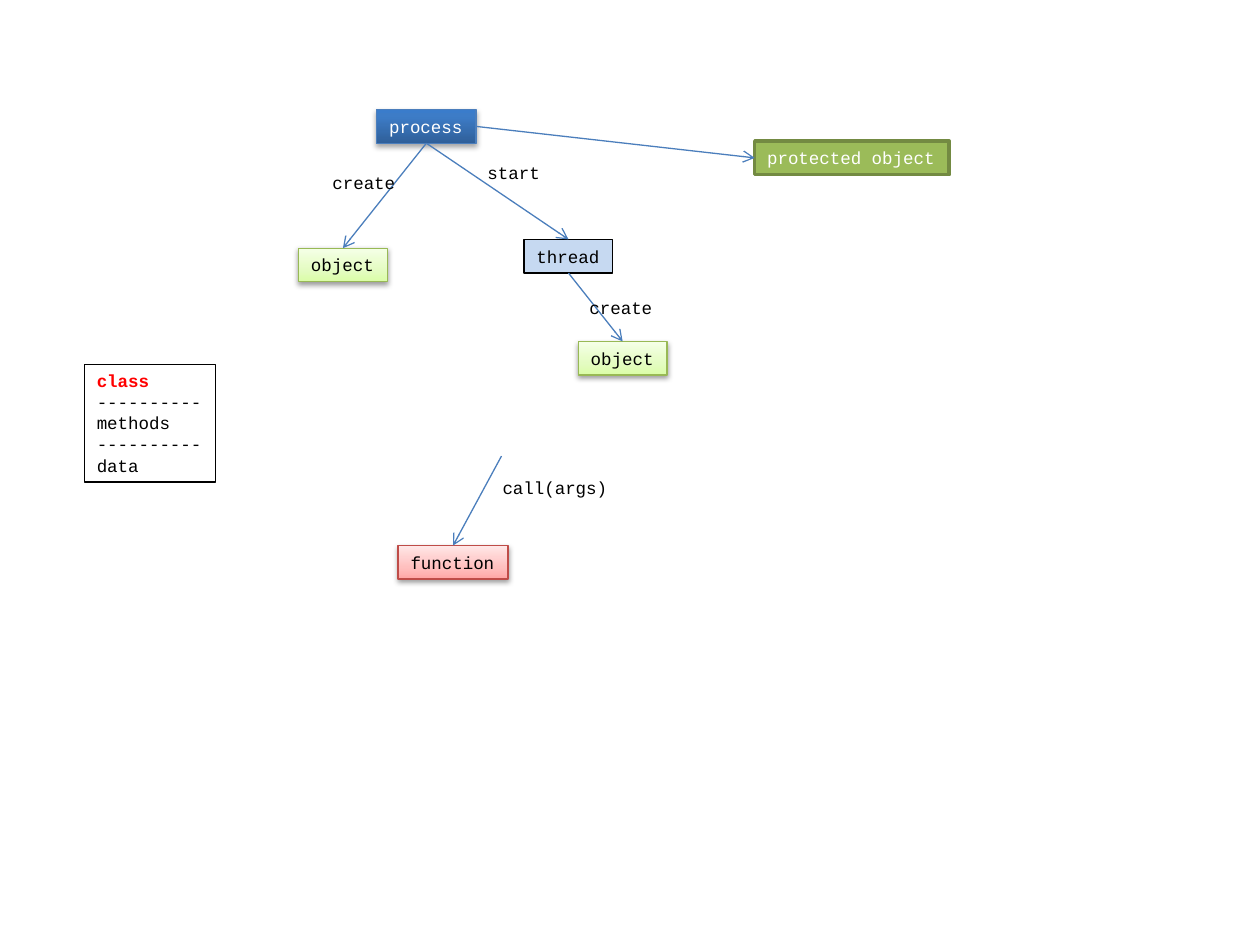
from lxml import etree
from pptx import Presentation
from pptx import util as u
from pptx.dml.color import RGBColor
from pptx.enum import shapes, text
from pptx.oxml.ns import qn

FONT, SIZE = "Courier New", 10
CHAR_WIDTH, LINE_HEIGHT = 0.084, 0.167
MARGIN_X, MARGIN_Y = 0.1, 0.05
TOP, LEFT, BOTTOM, RIGHT = range(4)  # connection sites of a rectangle
ARROW_COLOUR = "4B7EBC"

# fill: None, a colour, or gradient stops (percent, colour) from bottom to top
# shadow: None or (opacity in percent, distance in points)
GREEN = [(0, "DAFDA7"), (35, "E4FCC2"), (100, "F5FFE7")]
BLUE = [(0, "2F5F99"), (80, "3D7CC7"), (100, "3A7CCB")]
RED = [(0, "FFA6A5"), (35, "FFC0BF"), (100, "FFE7E7")]
STYLES = {
    "thread": dict(fill="C6D9F1", line="000000"),
    "class": dict(fill=None, line="000000"),
    "object": dict(fill=GREEN, line="98B955", shadow=(38, 1.6)),
    "process": dict(fill=BLUE, line="4B7EBC", shadow=(35, 1.8), ink="FFFFFF"),
    "function": dict(fill=RED, line="BF4C48", shadow=(38, 1.6)),
    "protected": dict(fill="9BBB59", line="738A42", weight=2, ink="FFFFFF"),
}

# name: (style, left, top, lines)
BOXES = {
    "thread": ("thread", 4.16, 1.9, ["thread"]),
    "class": ("class", 0.67, 2.89,
              ["class", "----------", "methods", "----------", "data"]),
    "process object": ("object", 2.37, 1.97, ["object"]),
    "process": ("process", 2.99, 0.87, ["process"]),
    "thread object": ("object", 4.59, 2.71, ["object"]),
    "function": ("function", 3.16, 4.33, ["function"]),
    "protected object": ("protected", 5.99, 1.12, ["protected object"]),
}
# (from box, site, to box, site)
ARROWS = [
    ("process", BOTTOM, "process object", TOP),
    ("thread", BOTTOM, "thread object", TOP),
    ("process", BOTTOM, "thread", TOP),
    ("process", RIGHT, "protected object", LEFT),
]
CALL_START = (3.98, 3.62)
LABELS = [
    ("start", 3.77, 1.24),
    ("create", 2.54, 1.32),
    ("create", 4.58, 2.31),
    ("call(args)", 3.89, 3.74),
]


def colour(value):
    return RGBColor.from_string(value)


def add_child(parent, tag, **attributes):
    child = etree.SubElement(parent, qn(tag))
    for name, value in attributes.items():
        child.set(name, str(value))
    return child


def text_extent(lines):
    """Width and height of a frame that fits the monospaced lines."""
    longest = max(len(line) for line in lines)
    return (u.Inches(longest * CHAR_WIDTH + 2 * MARGIN_X),
            u.Inches(len(lines) * LINE_HEIGHT + 2 * MARGIN_Y))


def write_lines(shape, lines, ink="000000"):
    frame = shape.text_frame
    frame.word_wrap = False
    frame.auto_size = text.MSO_AUTO_SIZE.SHAPE_TO_FIT_TEXT
    frame.vertical_anchor = text.MSO_ANCHOR.TOP
    frame.margin_left = frame.margin_right = u.Inches(MARGIN_X)
    frame.margin_top = frame.margin_bottom = u.Inches(MARGIN_Y)
    for index, line in enumerate(lines):
        para = frame.add_paragraph() if index else frame.paragraphs[0]
        para.alignment = text.PP_ALIGN.LEFT
        span = para.add_run()
        span.text = line
        span.font.name, span.font.size = FONT, u.Pt(SIZE)
        span.font.bold = line == "class"
        span.font.color.rgb = colour("FF0000" if line == "class" else ink)


def paint(shape, fill):
    if fill is None:
        shape.fill.background()
    elif isinstance(fill, str):
        shape.fill.solid()
        shape.fill.fore_color.rgb = colour(fill)
    else:
        shape.fill.gradient()
        shape.fill.gradient_angle = 90
        stops = shape._element.spPr.find(".//" + qn("a:gsLst"))
        stops.clear()
        for percent, value in fill:
            stop = add_child(stops, "a:gs", pos=percent * 1000)
            add_child(stop, "a:srgbClr", val=value)


def cast_shadow(shape, opacity, distance):
    effects = shape._element.spPr.find(qn("a:effectLst"))
    shadow = add_child(effects, "a:outerShdw", blurRad=u.Pt(3.1),
                       dist=u.Pt(distance), dir=90 * 60000, rotWithShape=0)
    black = add_child(shadow, "a:srgbClr", val="000000")
    add_child(black, "a:alpha", val=opacity * 1000)


def add_box(page, style, left, top, lines):
    look = STYLES[style]
    box = page.shapes.add_shape(shapes.MSO_SHAPE.RECTANGLE, u.Inches(left),
                                u.Inches(top), *text_extent(lines))
    paint(box, look["fill"])
    box.line.color.rgb = colour(look["line"])
    box.line.width = u.Pt(look.get("weight", 0.75))
    box.shadow.inherit = False
    if "shadow" in look:
        cast_shadow(box, *look["shadow"])
    write_lines(box, lines, look.get("ink", "000000"))
    return box


def add_arrow(page, target, site, start=(0, 0)):
    x, y = map(u.Inches, start)
    arrow = page.shapes.add_connector(shapes.MSO_CONNECTOR.STRAIGHT, x, y, x, y)
    arrow.end_connect(target, site)
    arrow.line.color.rgb = colour(ARROW_COLOUR)
    arrow.line.width = u.Pt(0.75)
    add_child(arrow.line._get_or_add_ln(), "a:tailEnd", type="arrow")
    add_child(arrow._element.spPr, "a:effectLst")
    return arrow


def main():
    deck = Presentation()
    deck.slide_width, deck.slide_height = u.Inches(10), u.Inches(7.5)
    page = deck.slides.add_slide(deck.slide_layouts[6])

    boxes = {name: add_box(page, *box) for name, box in BOXES.items()}
    for source, source_site, target, target_site in ARROWS:
        arrow = add_arrow(page, boxes[target], target_site)
        arrow.begin_connect(boxes[source], source_site)
    add_arrow(page, boxes["function"], TOP, CALL_START)

    for label, left, top in LABELS:
        box = page.shapes.add_textbox(u.Inches(left), u.Inches(top),
                                      *text_extent([label]))
        write_lines(box, [label])

    deck.save("out.pptx")


if __name__ == "__main__":
    main()
